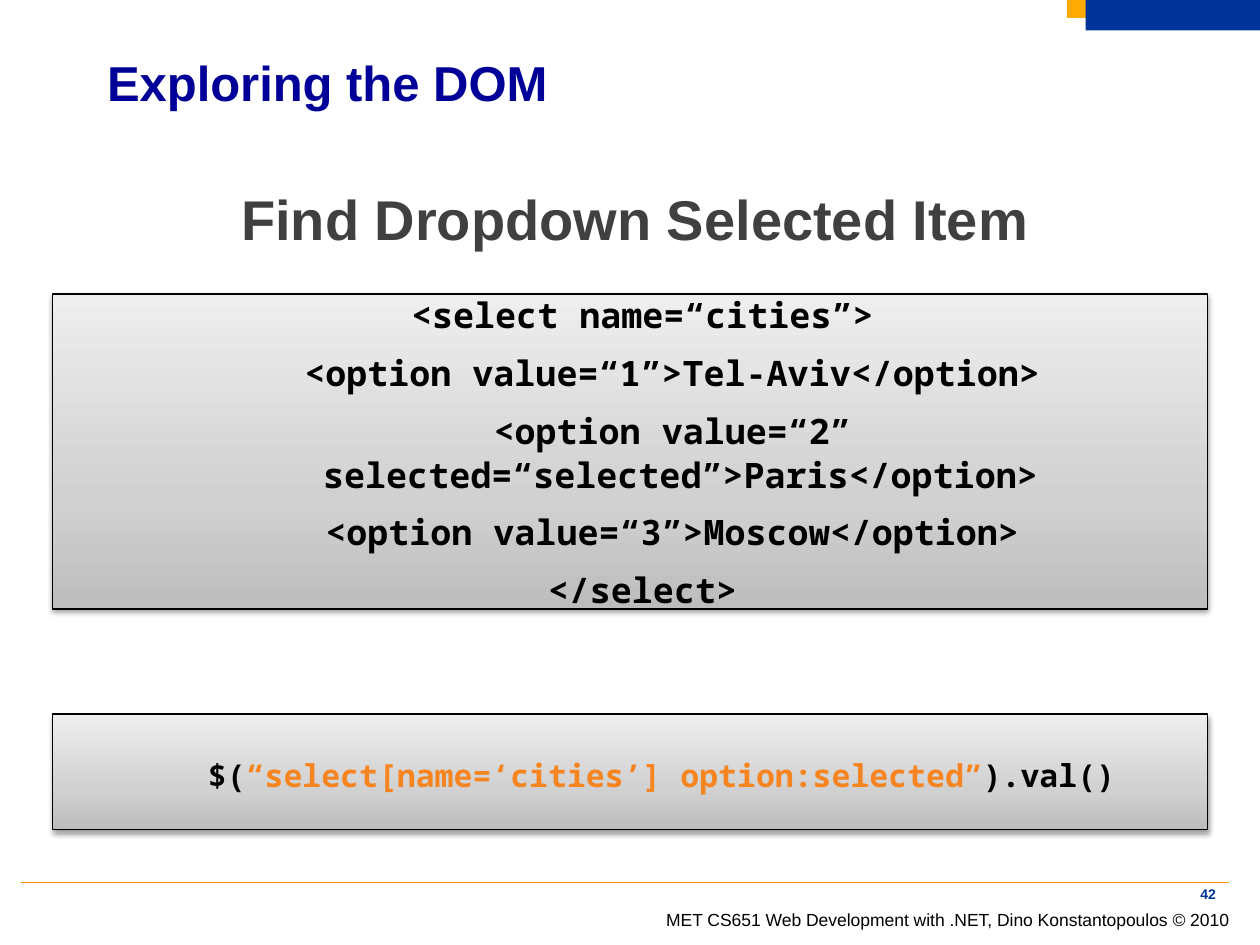
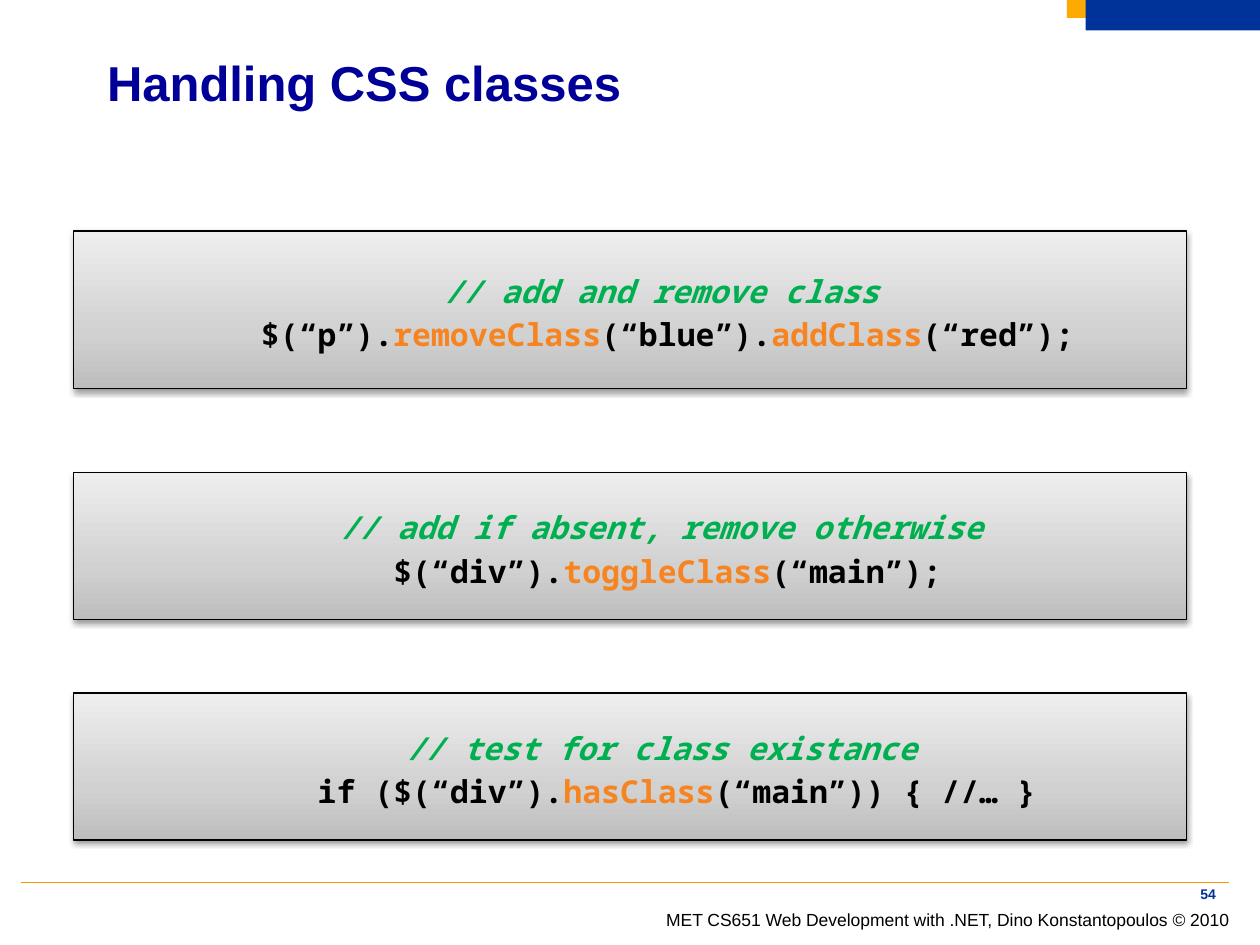
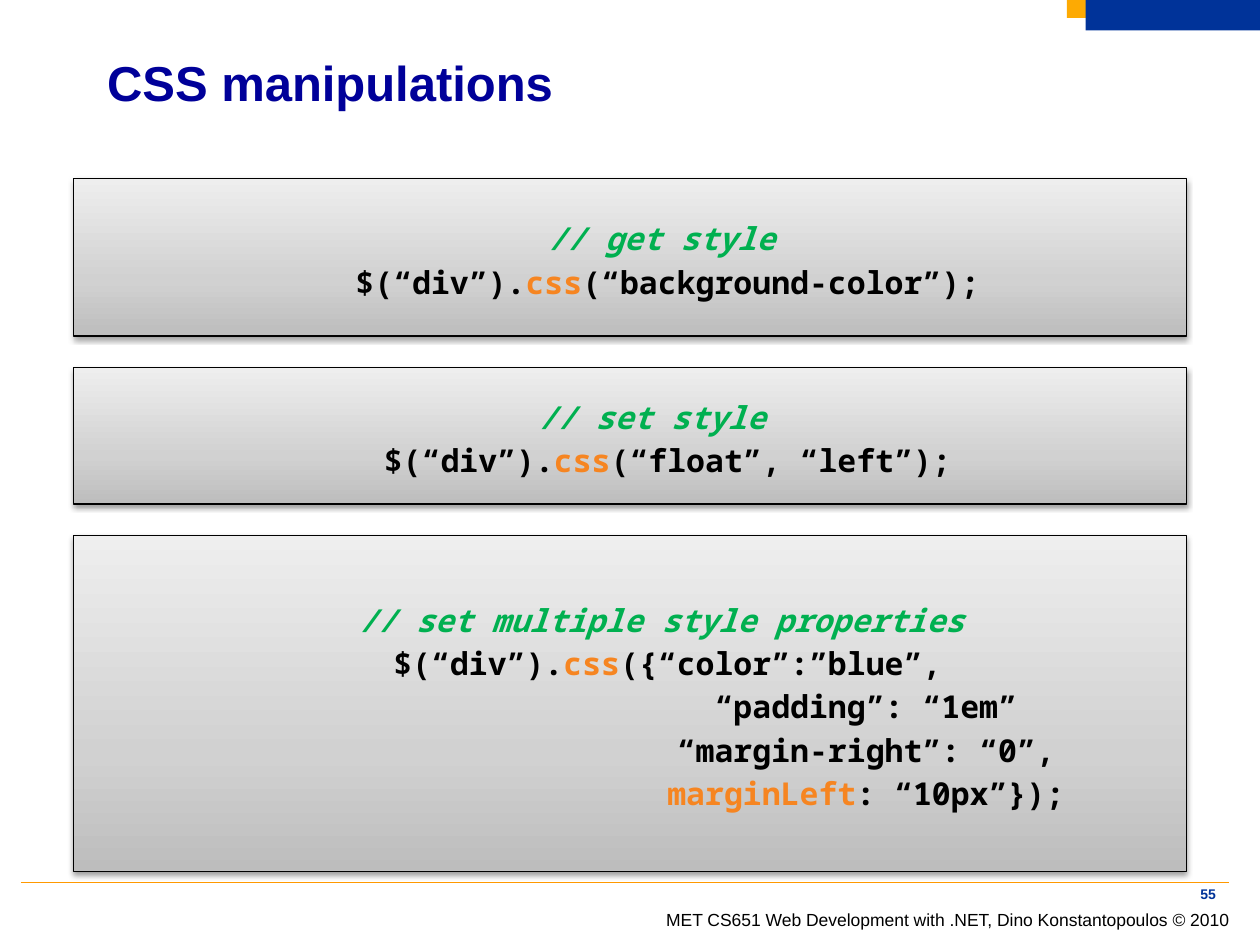
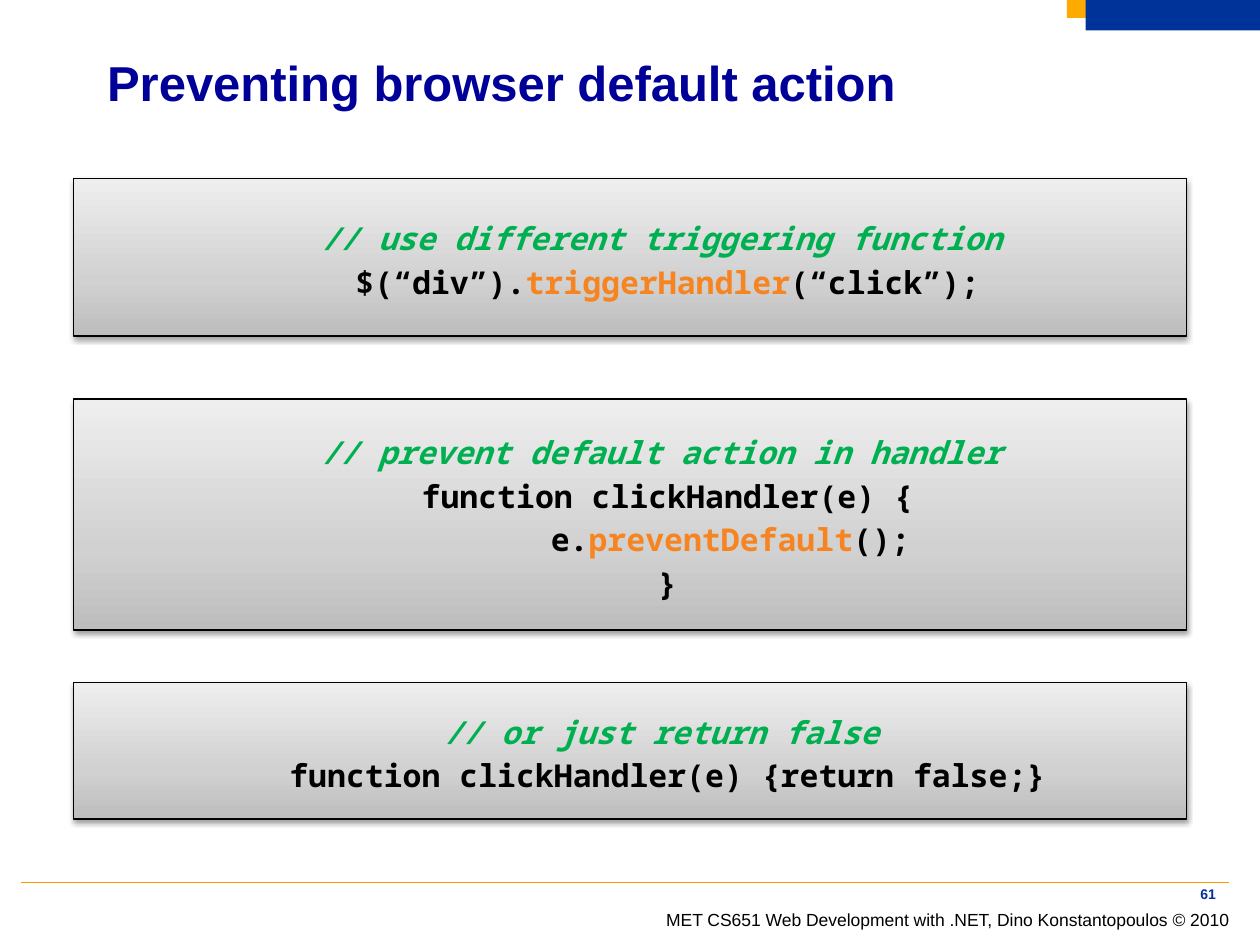
"""Build four slides on exploring the DOM and handling CSS with jQuery."""
from dataclasses import dataclass
from itertools import cycle

from pptx import Presentation
from pptx import oxml
from pptx import util as u
from pptx.dml.color import RGBColor
from pptx.enum import shapes, text
from pptx.oxml.ns import nsdecls, qn

PX = 7620
FOOT = "MET CS651 Web Development with .NET, Dino Konstantopoulos © 2010"
HEAD = "Find Dropdown Selected Item"
QUERY = "$(`“select[name=‘cities’] option:selected”`).val()"
SELECT = [
    "<select name=“cities”>",
    "<option value=“1”>Tel-Aviv</option>",
    "<option value=“2” selected=“selected”>Paris</option>",
    "<option value=“3”>Moscow</option>",
    "</select>",
]
TAGS = [(97, -73, 1)] + [(97, -16, 2)] * 3 + [(97, -73, 1)]

DECK = [
    ("Exploring the DOM", 42, []),
    ("Handling CSS classes", 54, [
        (220, 150, "// add and remove class\n"
                   "$(“p”).`removeClass`(“blue”).`addClass`(“red”);"),
        (450, 140, "// add if absent, remove otherwise\n"
                   "$(“div”).`toggleClass`(“main”);"),
        (660, 140, "// test for class existance\n"
                   " if ($(“div”).`hasClass`(“main”)) { //… }"),
    ]),
    ("CSS manipulations", 55, [
        (170, 150, "// get style\n$(“div”).`css`(“background-color”);"),
        (350, 130, "// set style \n$(“div”).`css`(“float”, “left”);"),
        (510, 320, "// set multiple style properties\n"
                   "$(“div”).`css`({“color”:”blue”,\n"
                   "\t\t\t “padding”: “1em”\n"
                   "\t\t\t “margin-right”: “0”,\n"
                   "\t\t\t `marginLeft`: “10px”});"),
    ]),
    ("Preventing browser default action", 61, [
        (170, 150, "// use different triggering function\n"
                   "$(“div”).`triggerHandler`(“click”);"),
        (380, 220, "// prevent default action in handler\n"
                   "function clickHandler(e) {\n"
                   "\te.`preventDefault`();\n}"),
        (650, 130, "// or just return false\n"
                   "function clickHandler(e) {return false;}"),
    ]),
]


@dataclass(frozen=True)
class Theme:
    """Hold colours, fonts and type sizes."""
    ink: str = "000000"
    title: str = "000099"
    head: str = "404040"
    blue: str = "003399"
    gold: str = "FDAA03"
    rule: str = "FF9900"
    note: str = "00B050"
    mark: str = "F68521"
    fade: tuple = ((0, "BDBDBD"), (35, "D1D1D1"), (100, "EEEEEE"))
    sans: str = "Arial"
    mono: str = "Noto Sans Mono"
    big: int = 32
    top: int = 28
    tag: int = 20
    code: int = 18
    foot: int = 10
    page: int = 8


T = Theme()
ALIGN = {"l": text.PP_ALIGN.LEFT, "c": text.PP_ALIGN.CENTER,
         "r": text.PP_ALIGN.RIGHT}


def rgb(tone):
    """Turn a hex string into a colour."""
    return RGBColor.from_string(tone)


def px(*vals):
    """Turn px lengths into EMU."""
    return [v * PX for v in vals]


def say(shape, paras, size, font=T.sans, tone=T.ink, bold=False, align="l",
        space=None, dents=((0, 0, 0),), mid=False, wrap=True):
    """Write paragraphs; backticks mark accents, a leading // a comment."""
    frame = shape.text_frame
    frame.word_wrap = wrap
    frame.vertical_anchor = (text.MSO_ANCHOR.MIDDLE if mid
                             else text.MSO_ANCHOR.TOP)
    for num, (para, dent) in enumerate(zip(paras, cycle(dents))):
        p = frame.add_paragraph() if num else frame.paragraphs[0]
        p.alignment = ALIGN[align]
        left, first, p.level = dent
        props = p._p.get_or_add_pPr()
        props.set("marL", str(left * PX))
        props.set("indent", str(first * PX))
        props.set("defTabSz", str(u.Inches(1)))
        if space:
            p.line_spacing = space
        if num:
            p.space_before = u.Pt(size * 0.4)
        for row, line in enumerate(para.split("\n")):
            if row:
                p.add_line_break()
            note = line.startswith("//")
            for part, words in enumerate(line.split("`")):
                if not words:
                    continue
                run = p.add_run()
                run.text = words
                run.font.name, run.font.size = font, u.Pt(size)
                run.font.bold, run.font.italic = bold, note
                run.font.color.rgb = rgb(
                    T.note if note else T.mark if part % 2 else tone)


def band(slide, box, tone):
    """Add a plain filled rectangle."""
    rect = slide.shapes.add_shape(shapes.MSO_SHAPE.RECTANGLE, *px(*box))
    rect.shadow.inherit = False
    rect.fill.solid()
    rect.fill.fore_color.rgb = rgb(tone)
    rect.line.fill.background()
    return rect


def panel(slide, box, paras, size=T.code, space=1.15,
          dents=((71, -11, 1),)):
    """Add a shaded code panel with a soft shadow."""
    rect = slide.shapes.add_shape(shapes.MSO_SHAPE.RECTANGLE, *px(*box))
    stops = "".join(f'<a:gs pos="{pos * 1000}"><a:srgbClr val="{tone}"/></a:gs>'
                    for pos, tone in T.fade)
    props = rect.element.spPr
    props.insert(2, oxml.parse_xml(
        f'<a:gradFill {nsdecls("a")} rotWithShape="1"><a:gsLst>{stops}</a:gsLst>'
        '<a:lin ang="16200000" scaled="0"/></a:gradFill>'))
    rect.line.color.rgb = rgb(T.ink)
    rect.line.width = u.Pt(0.75)
    rect.shadow.inherit = False
    props.find(qn("a:effectLst")).append(oxml.parse_xml(
        f'<a:outerShdw {nsdecls("a")} blurRad="40000" dist="20000" '
        f'dir="5400000" rotWithShape="0"><a:srgbClr val="{T.ink}">'
        '<a:alpha val="38000"/></a:srgbClr></a:outerShdw>'))
    say(rect, paras, size, font=T.mono, bold=True, align="c", space=space,
        dents=dents, mid=True)


def label(slide, box, words, size, **kind):
    """Add a text box."""
    area = slide.shapes.add_textbox(*px(*box))
    say(area, [words], size, **kind)
    return area


def dress(slide, master):
    """Draw the shared bands, rule and footer and move them to the master."""
    rule = slide.shapes.add_connector(
        shapes.MSO_CONNECTOR.STRAIGHT, *px(20, 840, 1170, 840))
    rule.line.color.rgb = rgb(T.rule)
    rule.line.width = u.Pt(0.5)
    rule.element.spPr.append(
        oxml.parse_xml(f'<a:effectLst {nsdecls("a")}/>'))
    foot = label(slide, (611, 860, 571, 32), FOOT, T.foot, align="r",
                 wrap=False)
    foot.text_frame.auto_size = text.MSO_AUTO_SIZE.SHAPE_TO_FIT_TEXT
    parts = [band(slide, (1016, 0, 184, 17), T.gold),
             band(slide, (1034, 0, 166, 29), T.blue), rule, foot]
    for part in parts:
        master.shapes.element.append(part.element)


def main():
    """Build and save the deck."""
    prs = Presentation()
    prs.slide_width, prs.slide_height = px(1200, 900)
    plain = prs.slide_layouts.get_by_name("Title Only")
    for num, (title, page, panels) in enumerate(DECK):
        slide = prs.slides.add_slide(plain)
        if not num:
            dress(slide, prs.slide_master)
        name = slide.shapes.title
        name.left, name.top, name.width, name.height = px(90, 50, 940, 70)
        say(name, [title], T.top, tone=T.title, bold=True, space=u.Pt(30))
        label(slide, (1100, 840, 70, 20), str(page), T.page, tone=T.blue,
              bold=True, align="r", space=1.2, mid=True, wrap=False)
        if not num:
            panel(slide, (50, 680, 1100, 110), [QUERY],
                  dents=[(97, -37, 1)])
            label(slide, (50, 160, 1110, 110), HEAD, T.big, tone=T.head,
                  bold=True, align="c", space=1.15, dents=[(46, -46, 0)])
            panel(slide, (50, 280, 1100, 300), SELECT, T.tag, u.Pt(25), TAGS)
        for top, high, code in panels:
            panel(slide, (70, top, 1060, high), [code])
    prs.save("out.pptx")


if __name__ == "__main__":
    main()
